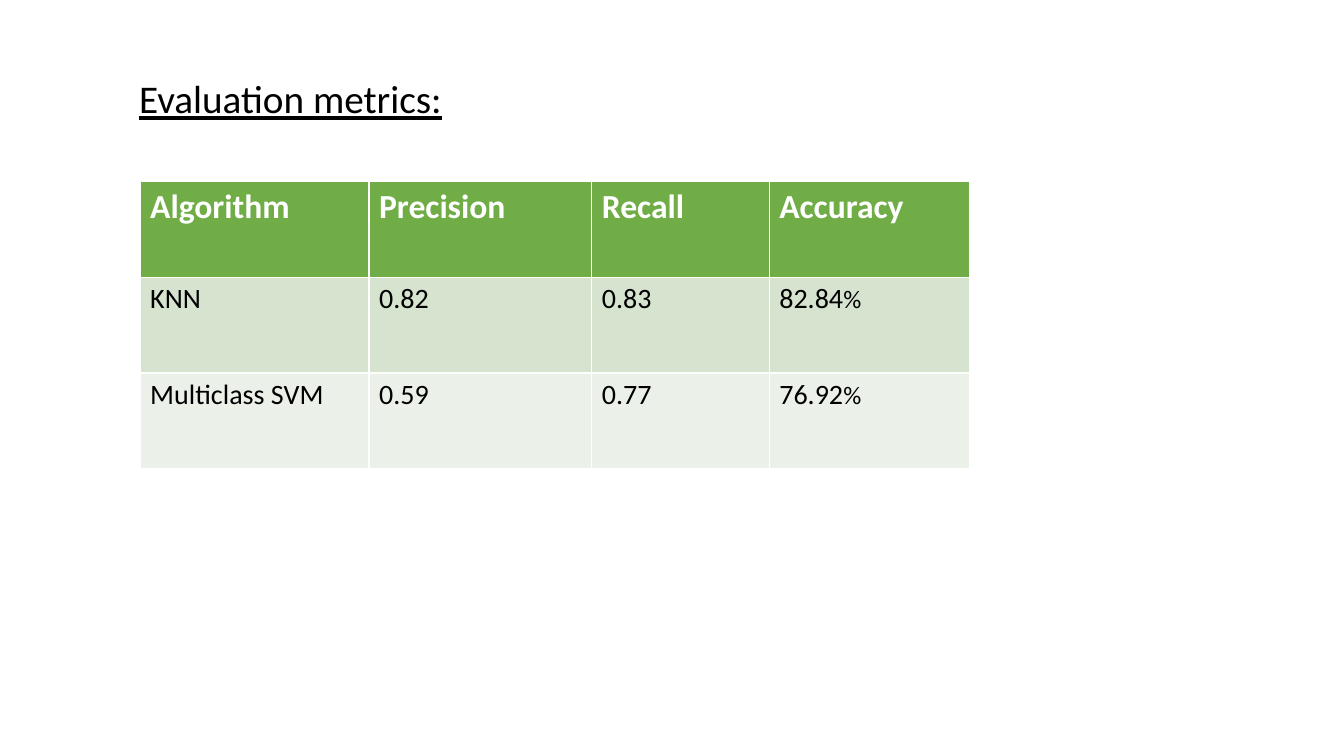
"""Build the evaluation metrics slide with its algorithm comparison table."""
from dataclasses import dataclass

from pptx import Presentation
from pptx.dml.color import RGBColor
from pptx.enum.text import MSO_ANCHOR, PP_ALIGN
from pptx.util import Inches, Pt

TITLE = "Evaluation metrics:"
METRICS = [
    ("Algorithm", "Precision", "Recall", "Accuracy"),
    ("KNN", "0.82", "0.83", "82.84%"),
    ("Multiclass SVM", "0.59", "0.77", "76.92%"),
]
COLUMN_WIDTHS = (2.27, 2.21, 1.76, 1.99)
ROW_HEIGHT = 0.95
TABLE_LEFT, TABLE_TOP = 1.39, 1.8
TITLE_BOX = {"left": 1.28, "top": 0.69, "width": 3.23, "height": 0.57}


@dataclass(frozen=True)
class Theme:
    font: str = "Calibri"
    text: str = "000000"
    header_text: str = "FFFFFF"
    row_fills: tuple = ("70AD47", "D5E3CF", "EBF1E9")
    title_size: int = 28
    header_size: int = 24
    body_size: int = 20
    percent_size: int = 18


THEME = Theme()


def set_attributes(target, values):
    for name, value in values.items():
        setattr(target, name, value)


def add_text(paragraph, text, size, color, **styles):
    run = paragraph.add_run()
    run.text = text
    set_attributes(run.font, {"name": THEME.font, "size": Pt(size), **styles})
    run.font.color.rgb = RGBColor.from_string(color)


def add_title(slide):
    title = slide.shapes.title
    set_attributes(title, {name: Inches(value) for name, value in TITLE_BOX.items()})
    set_attributes(title.text_frame, {"word_wrap": False, "vertical_anchor": MSO_ANCHOR.TOP})
    paragraph = title.text_frame.paragraphs[0]
    set_attributes(paragraph, {"alignment": PP_ALIGN.LEFT, "line_spacing": 1.0, "space_before": Pt(0)})
    add_text(paragraph, TITLE, THEME.title_size, THEME.text, underline=True)


def fill_cell(cell, text, fill, is_header):
    cell.fill.solid()
    cell.fill.fore_color.rgb = RGBColor.from_string(fill)
    paragraph = cell.text_frame.paragraphs[0]
    if is_header:
        add_text(paragraph, text, THEME.header_size, THEME.header_text, bold=True)
        return
    number, percent, _ = text.partition("%")
    add_text(paragraph, number, THEME.body_size, THEME.text, bold=False)
    if percent:
        add_text(paragraph, percent, THEME.percent_size, THEME.text, bold=False)


def add_metrics_table(slide):
    frame = slide.shapes.add_table(
        len(METRICS), len(COLUMN_WIDTHS), Inches(TABLE_LEFT), Inches(TABLE_TOP),
        Inches(sum(COLUMN_WIDTHS)), Inches(ROW_HEIGHT * len(METRICS)))
    table = frame.table
    for column, width in zip(table.columns, COLUMN_WIDTHS):
        column.width = Inches(width)
    for row_index, (row, texts, fill) in enumerate(zip(table.rows, METRICS, THEME.row_fills)):
        row.height = Inches(ROW_HEIGHT)
        for cell, text in zip(row.cells, texts):
            fill_cell(cell, text, fill, row_index == 0)


def main():
    presentation = Presentation()
    set_attributes(presentation, {"slide_width": Inches(13.33), "slide_height": Inches(7.5)})
    slide = presentation.slides.add_slide(presentation.slide_layouts.get_by_name("Title Only"))
    add_title(slide)
    add_metrics_table(slide)
    presentation.save("out.pptx")


main()
